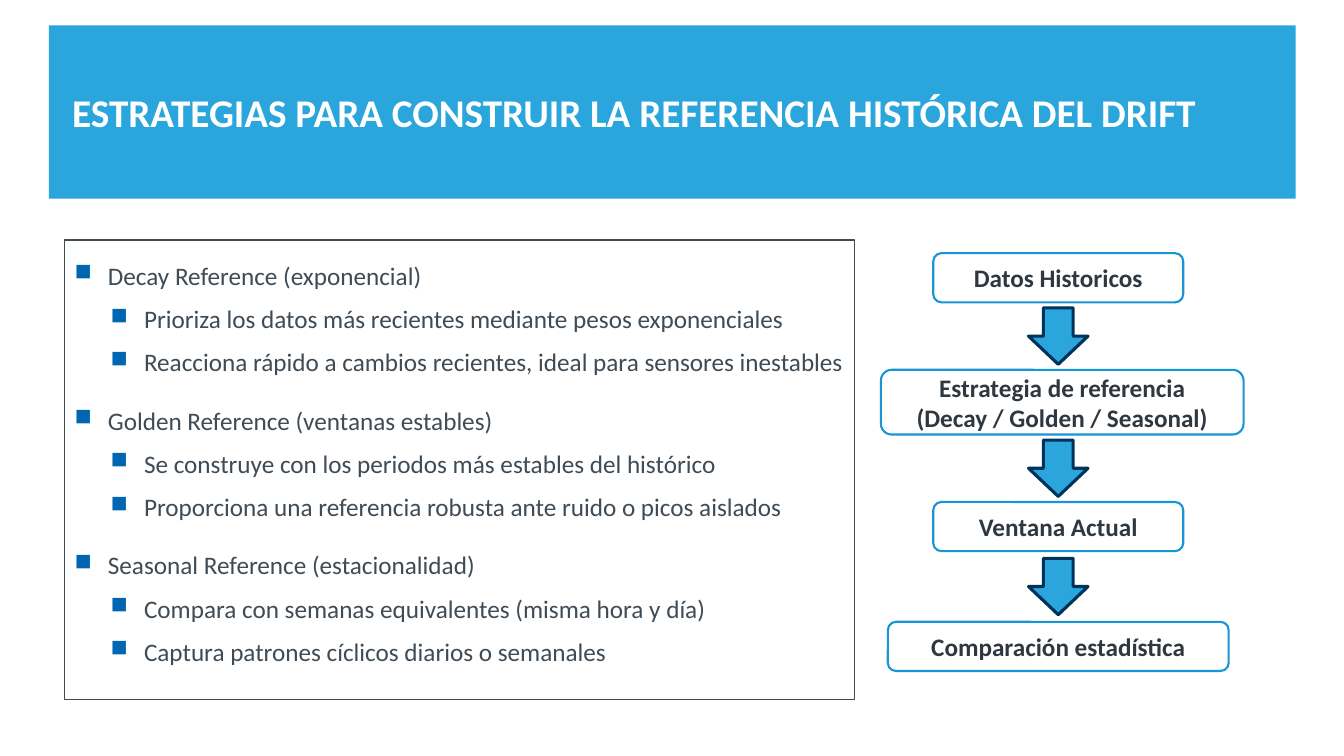
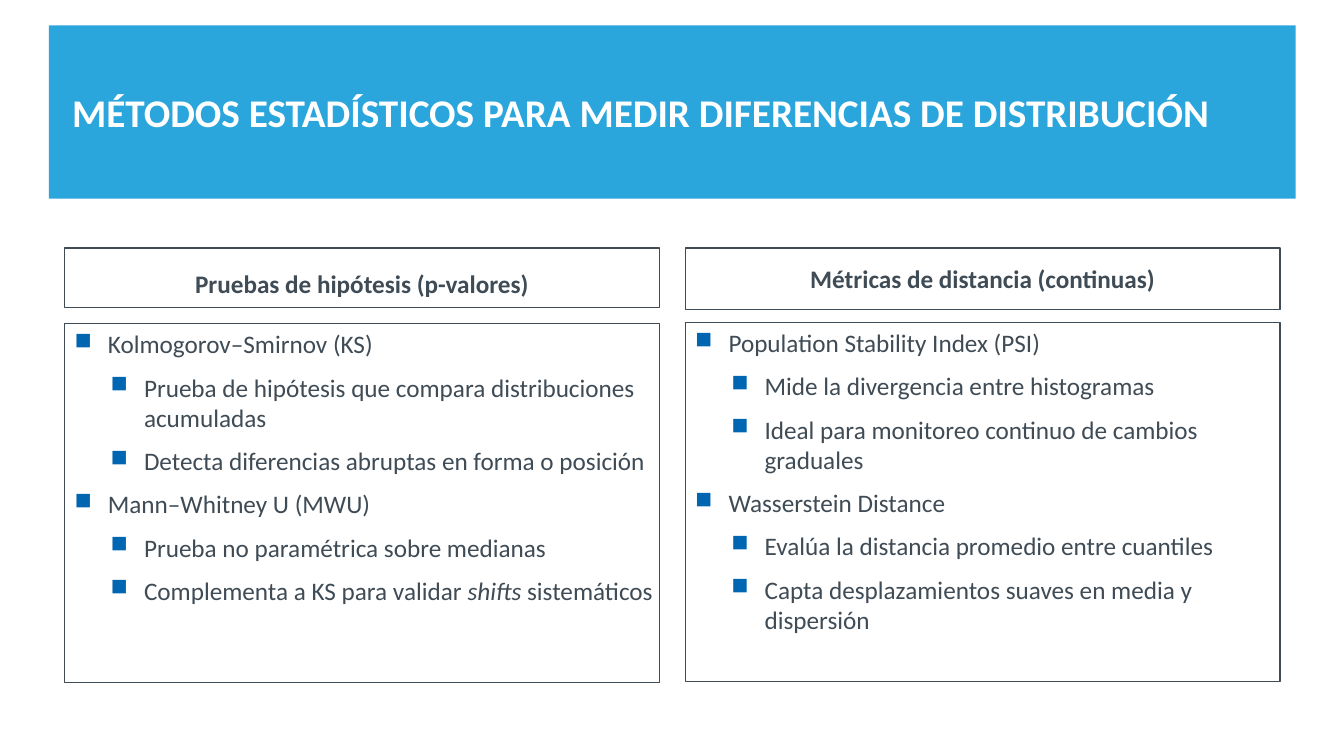
"""Build two slides on drift references and distribution metrics."""
from itertools import pairwise

from lxml.etree import SubElement
from pptx import Presentation
from pptx.dml.color import RGBColor
from pptx.enum.shapes import MSO_SHAPE
from pptx.enum.text import MSO_ANCHOR, PP_ALIGN
from pptx.oxml.ns import qn
from pptx.util import Cm, Pt

COLORS = {
    "band": "2AA6DD", "white": "FFFFFF", "text": "3F4B55", "bullet": "0066B2",
    "step_text": "2F3840", "step_line": "1795D4", "arrow_line": "003359",
}
FONT = "Calibri"
INDENTS = (0.84, 1.75)
HANGING = 0.84

STRATEGIES = {
    "title": "ESTRATEGIAS PARA CONSTRUIR LA REFERENCIA HISTÓRICA DEL DRIFT",
    "topics": [
        ("Decay Reference (exponencial)", [
            "Prioriza los datos más recientes mediante pesos exponenciales",
            "Reacciona rápido a cambios recientes, ideal para sensores inestables"]),
        ("Golden Reference (ventanas estables)", [
            "Se construye con los periodos más estables del histórico",
            "Proporciona una referencia robusta ante ruido o picos aislados"]),
        ("Seasonal Reference (estacionalidad)", [
            "Compara con semanas equivalentes (misma hora y día)",
            "Captura patrones cíclicos diarios o semanales"]),
    ],
    "steps": [
        (["Datos Historicos"], 26.67, 6.38, 6.3, 1.24),
        (["Estrategia de referencia", "(Decay / Golden / Seasonal)"], 26.77, 9.32, 9.14, 1.63),
        (["Ventana Actual"], 26.67, 12.65, 6.3, 1.24),
        (["Comparación estadística"], 26.67, 15.67, 8.59, 1.24),
    ],
}

METHODS = {
    "title": "MÉTODOS ESTADÍSTICOS PARA MEDIR DIFERENCIAS DE DISTRIBUCIÓN",
    "columns": [
        {"heading": "Pruebas de hipótesis (p-valores)",
         "heading_height": 1.5, "body_top": 8.16,
         "style": {"anchor": MSO_ANCHOR.TOP, "spacing": 1.5},
         "topics": [
             ("Kolmogorov–Smirnov (KS)", [
                 "Prueba de hipótesis que compara distribuciones acumuladas",
                 "Detecta diferencias abruptas en forma o posición"]),
             ("Mann–Whitney U (MWU)", [
                 "Prueba no paramétrica sobre medianas",
                 "Complementa a KS para validar *shifts* sistemáticos"]),
         ]},
        {"heading": "Métricas de distancia (continuas)",
         "heading_height": 1.55, "body_top": 8.13,
         "style": {"anchor": MSO_ANCHOR.MIDDLE},
         "topics": [
             ("Population Stability Index (PSI)", [
                 "Mide la divergencia entre histogramas",
                 "Ideal para monitoreo continuo de cambios graduales"]),
             ("Wasserstein Distance", [
                 "Evalúa la distancia promedio entre cuantiles",
                 "Capta desplazamientos suaves en media y dispersión"]),
         ]},
    ],
}


def rgb(name):
    """Return a named colour."""
    return RGBColor.from_string(COLORS[name])


def add_box(s, kind, left, top, width, height, fill=None, line=None, weight=1):
    """Add a preset shape measured in centimetres."""
    sp = s.shapes.add_shape(kind, Cm(left), Cm(top), Cm(width), Cm(height))
    sp.shadow.inherit = False
    if fill:
        sp.fill.solid()
        sp.fill.fore_color.rgb = rgb(fill)
    else:
        sp.fill.background()
    if line:
        sp.line.color.rgb = rgb(line)
        sp.line.width = Pt(weight)
    else:
        sp.line.fill.background()
    return sp


def write(sp, lines, size=18, color="text", bold=False, align=PP_ALIGN.LEFT,
          anchor=MSO_ANCHOR.MIDDLE, spacing=None):
    """Write lines into a shape, with *...* in italics, and return the paragraphs."""
    tf = sp.text_frame
    tf.word_wrap = True
    tf.vertical_anchor = anchor
    for i, line in enumerate(lines):
        p = tf.add_paragraph() if i else tf.paragraphs[0]
        p.alignment = align
        if spacing:
            p.line_spacing = spacing
        for j, part in enumerate(line.split("*")):
            r = p.add_run()
            r.text = part
            r.font.name = FONT
            r.font.size = Pt(size)
            r.font.bold = bold
            r.font.italic = j % 2 == 1
            r.font.color.rgb = rgb(color)
    return tf.paragraphs


def add_bullet(p, level):
    """Give a paragraph a square bullet and the indent of its level."""
    p.level = level
    pPr = p._p.get_or_add_pPr()
    pPr.set("marL", str(Cm(INDENTS[level])))
    pPr.set("indent", str(-Cm(HANGING)))
    SubElement(SubElement(pPr, qn("a:buClr")), qn("a:srgbClr"), val=COLORS["bullet"])
    SubElement(pPr, qn("a:buSzPct"), val="92000")
    SubElement(pPr, qn("a:buChar"), char="■")


def add_topics(s, topics, left, top, width, height, topic_spacing=None):
    """Add a framed two-level bullet list."""
    sp = add_box(s, MSO_SHAPE.RECTANGLE, left, top, width, height, line="text")
    sp.text_frame.margin_right = Cm(0.1)
    items = [item for topic, details in topics
             for item in [(0, topic)] + [(1, detail) for detail in details]]
    paragraphs = write(sp, [text for _, text in items], anchor=MSO_ANCHOR.TOP)
    for i, (p, (level, _)) in enumerate(zip(paragraphs, items)):
        add_bullet(p, level)
        p.space_before = Pt(3.25 if i else 0)
        p.space_after = Pt(6)
        if level == 0 and topic_spacing:
            p.line_spacing = topic_spacing


def add_slide(prs, title):
    """Add a blank slide with the title band."""
    s = prs.slides.add_slide(prs.slide_layouts[6])
    add_box(s, MSO_SHAPE.RECTANGLE, 1.23, 0.64, 31.42, 4.37, fill="band")
    sp = s.shapes.add_textbox(Cm(1.57), Cm(1.42), Cm(30.63), Cm(2.82))
    write(sp, [title], size=28, color="white", bold=True)
    return s


def add_flow(s, steps):
    """Add the step boxes with an arrow centred in each gap."""
    for lines, center, top, width, height in steps:
        sp = add_box(s, MSO_SHAPE.ROUNDED_RECTANGLE, center - width / 2, top,
                     width, height, line="step_line", weight=1.5)
        write(sp, lines, color="step_text", bold=True, align=PP_ALIGN.CENTER)
    arrow_w, arrow_h, arrow_center = 1.5, 1.42, 26.67
    for (*_, top, _, height), (*_, next_top, _, _) in pairwise(steps):
        middle = (top + height + next_top) / 2
        add_box(s, MSO_SHAPE.DOWN_ARROW, arrow_center - arrow_w / 2,
                middle - arrow_h / 2, arrow_w, arrow_h,
                fill="band", line="arrow_line", weight=2.25)


def add_columns(s, columns):
    """Add the headed lists side by side."""
    left, width, gap = 1.63, 14.99, 0.65
    for i, column in enumerate(columns):
        x = left + i * (width + gap)
        sp = add_box(s, MSO_SHAPE.RECTANGLE, x, 6.25, width,
                     column["heading_height"], line="text")
        write(sp, [column["heading"]], bold=True, align=PP_ALIGN.CENTER, **column["style"])
        add_topics(s, column["topics"], x, column["body_top"], width, 9.04)


def main():
    """Build and save the presentation."""
    prs = Presentation()
    prs.slide_width, prs.slide_height = Cm(33.87), Cm(19.05)
    s = add_slide(prs, STRATEGIES["title"])
    add_topics(s, STRATEGIES["topics"], 1.63, 6.05, 19.91, 11.58, topic_spacing=1.5)
    add_flow(s, STRATEGIES["steps"])
    s = add_slide(prs, METHODS["title"])
    add_columns(s, METHODS["columns"])
    prs.save("out.pptx")


if __name__ == "__main__":
    main()
